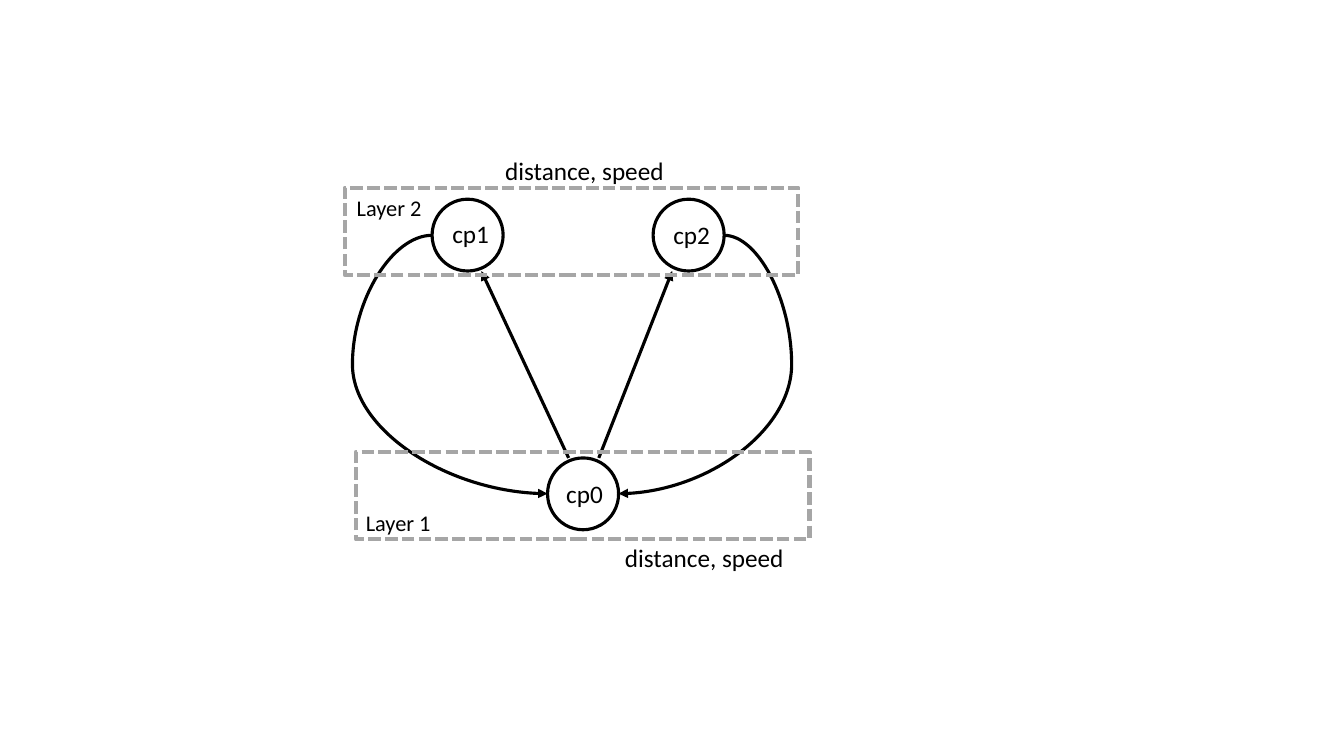
from pptx import Presentation
from pptx.dml.color import RGBColor
from pptx.enum.dml import MSO_LINE
from pptx.enum.shapes import MSO_CONNECTOR, MSO_SHAPE
from pptx.enum.text import MSO_AUTO_SIZE
from pptx.oxml.ns import qn
from pptx.util import Cm, Pt
from lxml import etree

OVAL, RECT = MSO_SHAPE.OVAL, MSO_SHAPE.RECTANGLE
STRAIGHT, CURVE = MSO_CONNECTOR.STRAIGHT, MSO_CONNECTOR.CURVE
DASH = MSO_LINE.SQUARE_DOT
FIT = MSO_AUTO_SIZE.SHAPE_TO_FIT_TEXT
BLACK, GREY, WHITE = "000000", "A6A6A6", "FFFFFF"


def color(code):
    return RGBColor.from_string(code)


def stroke(line, code, width):
    line.color.rgb = color(code)
    line.width = Pt(width)


def add_node(slide, x, y):
    node = slide.shapes.add_shape(OVAL, Cm(x), Cm(y), Cm(1.79), Cm(1.81))
    node.shadow.inherit = False
    node.fill.solid()
    node.fill.fore_color.rgb = color(WHITE)
    stroke(node.line, BLACK, 2.25)


def add_layer(slide, x, y):
    """Draw the dashed frame around one layer."""
    frame = slide.shapes.add_shape(RECT, Cm(x), Cm(y), Cm(11.43), Cm(2.2))
    frame.shadow.inherit = False
    frame.fill.background()
    stroke(frame.line, GREY, 3)
    frame.line.dash_style = DASH


def add_arrow(slide, kind, start, end, bend=None):
    """Draw an arrow; bend places a curve's middle, as a share of its width."""
    ends = [Cm(n) for n in (*start, *end)]
    arrow = slide.shapes.add_connector(kind, *ends)
    stroke(arrow.line, BLACK, 2.25)
    props = arrow._element.spPr
    etree.SubElement(props.find(qn("a:ln")), qn("a:tailEnd"), type="triangle")
    etree.SubElement(props, qn("a:effectLst"))
    if bend is not None:
        guides = props.find(qn("a:prstGeom")).get_or_add_avLst()
        etree.SubElement(guides, qn("a:gd"), name="adj1",
                         fmla=f"val {round(bend * 100000)}")


def add_label(slide, text, x, y, width, size=18):
    height = 1.03 if size == 18 else 0.94
    box = slide.shapes.add_textbox(Cm(x), Cm(y), Cm(width), Cm(height))
    frame = box.text_frame
    frame.word_wrap = True
    frame.auto_size = FIT
    frame.text = text
    font = frame.paragraphs[0].font
    font.name = "Calibri"
    font.size = Pt(size)
    font.color.rgb = color(BLACK)


def main():
    deck = Presentation()
    deck.slide_width, deck.slide_height = Cm(33.87), Cm(19.05)
    slide = deck.slides.add_slide(deck.slide_layouts[6])

    for x, y in ((13.8, 11.54), (10.89, 5.02), (16.46, 5.02)):
        add_node(slide, x, y)

    add_arrow(slide, STRAIGHT, (14.33, 11.54), (12.13, 6.83))
    add_arrow(slide, STRAIGHT, (15.09, 11.54), (16.94, 6.83))
    add_arrow(slide, CURVE, (10.89, 5.93), (13.8, 12.44), -0.69)
    add_arrow(slide, CURVE, (18.25, 5.93), (15.59, 12.44), -0.64)

    for text, x, y in (("cp0", 14.02, 11.92), ("cp1", 11.15, 5.38),
                       ("cp2", 16.72, 5.4)):
        add_label(slide, text, x, y, 2.08)
    for x, y in ((15.5, 13.53), (12.48, 3.78)):
        add_label(slide, "distance, speed", x, y, 4.8)

    for x, y in ((8.97, 11.39), (8.69, 4.73)):
        add_layer(slide, x, y)
    add_label(slide, "Layer 1", 8.97, 12.7, 2.57, 16)
    add_label(slide, "Layer 2", 8.74, 4.78, 2.57, 16)

    deck.save("out.pptx")


if __name__ == "__main__":
    main()
